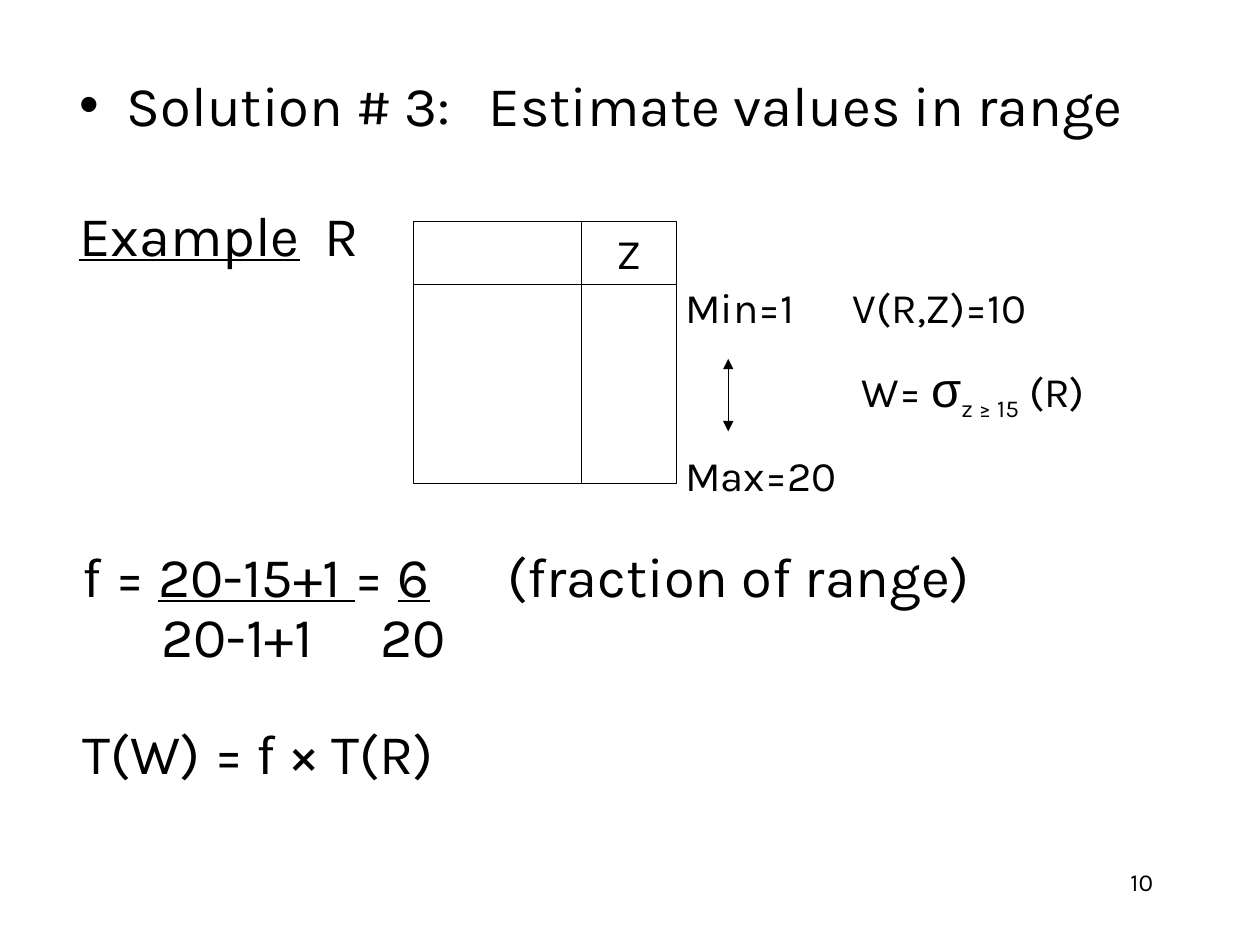
from dataclasses import dataclass

from lxml import etree
from pptx import Presentation
from pptx import util as u
from pptx.dml.color import RGBColor
from pptx.enum import shapes, text
from pptx.oxml import ns

COLUMNS, ROWS = 100, 75
WIDTH, HEIGHT = u.Inches(10), u.Inches(7.5)


@dataclass(frozen=True)
class Theme:
    ink: RGBColor = RGBColor(0, 0, 0)
    paper: RGBColor = RGBColor(255, 255, 255)
    face: str = "Karla"
    greek_face: str = "Arial"
    body: int = 32
    label: int = 24
    greek: int = 28
    number: int = 14
    rule: float = 0.75


THEME = Theme()


def across(columns):
    return u.Emu(round(WIDTH * columns / COLUMNS))


def down(rows):
    return u.Emu(round(HEIGHT * rows / ROWS))


def place(box):
    left, top, width, height = box
    return across(left), down(top), across(width), down(height)


def add_tag(parent, name, **attributes):
    child = etree.SubElement(parent, ns.qn(name))
    for key, value in attributes.items():
        child.set(key, str(value))
    return child


def write(frame, runs, size=THEME.body, align=text.PP_ALIGN.LEFT, before=0,
          spacing=None, tabs=(), bullet=None, hang=0):
    paragraph = frame.paragraphs[0]
    if paragraph.runs:
        paragraph = frame.add_paragraph()
    paragraph.alignment = align
    if before:
        paragraph.space_before = u.Pt(before)
    if spacing:
        paragraph.line_spacing = spacing
    properties = paragraph._p.get_or_add_pPr()
    if bullet:
        properties.set("marL", str(across(hang)))
        properties.set("indent", str(-across(hang)))
        add_tag(properties, "a:buFont", typeface=THEME.greek_face)
        add_tag(properties, "a:buChar", char=bullet)
    if tabs:
        stops = add_tag(properties, "a:tabLst")
        for stop in tabs:
            add_tag(stops, "a:tab", pos=across(stop), algn="l")
    for words, style in runs:
        run = paragraph.add_run()
        run.text = words
        run.font.name = style.get("face", THEME.face)
        run.font.size = u.Pt(style.get("size", size))
        run.font.color.rgb = THEME.ink
        if style.get("underline"):
            run.font.underline = True
        for key in ("baseline", "spc"):
            if key in style:
                run._r.get_or_add_rPr().set(key, str(style[key]))


def add_frame(slide, box, anchor=text.MSO_ANCHOR.TOP):
    frame = slide.shapes.add_textbox(*place(box)).text_frame
    frame.word_wrap = True
    frame.vertical_anchor = anchor
    return frame


def add_statement(slide, box):
    frame = add_frame(slide, box)
    write(frame, [("Solution # 3:", {}), (" ", {"spc": 1400}),
                  ("Estimate values in range", {})], bullet="•", hang=3.8)
    write(frame, [("Example", {"underline": True}), ("\tR", {})],
          before=36, tabs=[19.5])


def add_relation(slide, box):
    left, top, width, height = box
    columns = (0, 0.64 * width, width)
    rows = (0, 0.24 * height, height)
    labels = {(0, 1): "Z"}
    for row in range(2):
        for column in range(2):
            cell = slide.shapes.add_shape(
                shapes.MSO_SHAPE.RECTANGLE,
                *place((left + columns[column], top + rows[row],
                        columns[column + 1] - columns[column],
                        rows[row + 1] - rows[row])))
            cell.shadow.inherit = False
            cell.fill.solid()
            cell.fill.fore_color.rgb = THEME.paper
            cell.line.color.rgb = THEME.ink
            cell.line.width = u.Pt(THEME.rule)
            if (row, column) in labels:
                cell.text_frame.word_wrap = False
                cell.text_frame.vertical_anchor = text.MSO_ANCHOR.MIDDLE
                write(cell.text_frame, [(labels[row, column], {})],
                      size=THEME.label, align=text.PP_ALIGN.CENTER)


def add_range(slide, box):
    left, top, width, height = box
    frame = add_frame(slide, box, anchor=text.MSO_ANCHOR.MIDDLE)
    write(frame, [("Min=1\tV(R,Z)=10", {})], size=THEME.label, tabs=[13.3])
    write(frame, [("\tW= ", {}),
                  ("σ", {"face": THEME.greek_face, "size": THEME.greek}),
                  ("z ≥ 15", {"baseline": -25000}), (" (R)", {})],
          size=THEME.label, before=15, tabs=[14])
    write(frame, [("Max=20", {})], size=THEME.label, before=15)

    x = across(left + 4.4)
    span = slide.shapes.add_connector(
        shapes.MSO_CONNECTOR.STRAIGHT,
        x, down(top + 0.36 * height), x, down(top + 0.68 * height))
    span.line.color.rgb = THEME.ink
    span.line.width = u.Pt(THEME.rule)
    line = span.line._get_or_add_ln()
    for end in ("a:headEnd", "a:tailEnd"):
        add_tag(line, end, type="triangle")
    add_tag(span._element.spPr, "a:effectLst")


def add_fraction(slide, box):
    frame = add_frame(slide, box)
    write(frame, [("f = ", {}), ("20-15+1 ", {"underline": True}), ("= ", {}),
                  ("6", {"underline": True}), ("\t(fraction of range)", {})],
          tabs=[33.7])
    write(frame, [("\t20-1+1\t20", {})], before=6.4, spacing=0.7,
          tabs=[6.2, 23.6])
    write(frame, [("T(W) = f × T(R)", {})], before=40, spacing=0.7)


def add_number(slide, box):
    write(add_frame(slide, box), [("10", {})], size=THEME.number,
          align=text.PP_ALIGN.RIGHT)


def main():
    deck = Presentation()
    deck.slide_width, deck.slide_height = WIDTH, HEIGHT
    slide = deck.slides.add_slide(deck.slide_layouts[6])
    add_number(slide, (71.7, 68.3, 20.8, 5))
    add_statement(slide, (5.3, 5.1, 85, 45))
    add_relation(slide, (32.8, 17.6, 20.9, 20.8))
    add_range(slide, (53.4, 22, 41.4, 18))
    add_fraction(slide, (5.6, 42.5, 85, 24.4))
    deck.save("out.pptx")


if __name__ == "__main__":
    main()
